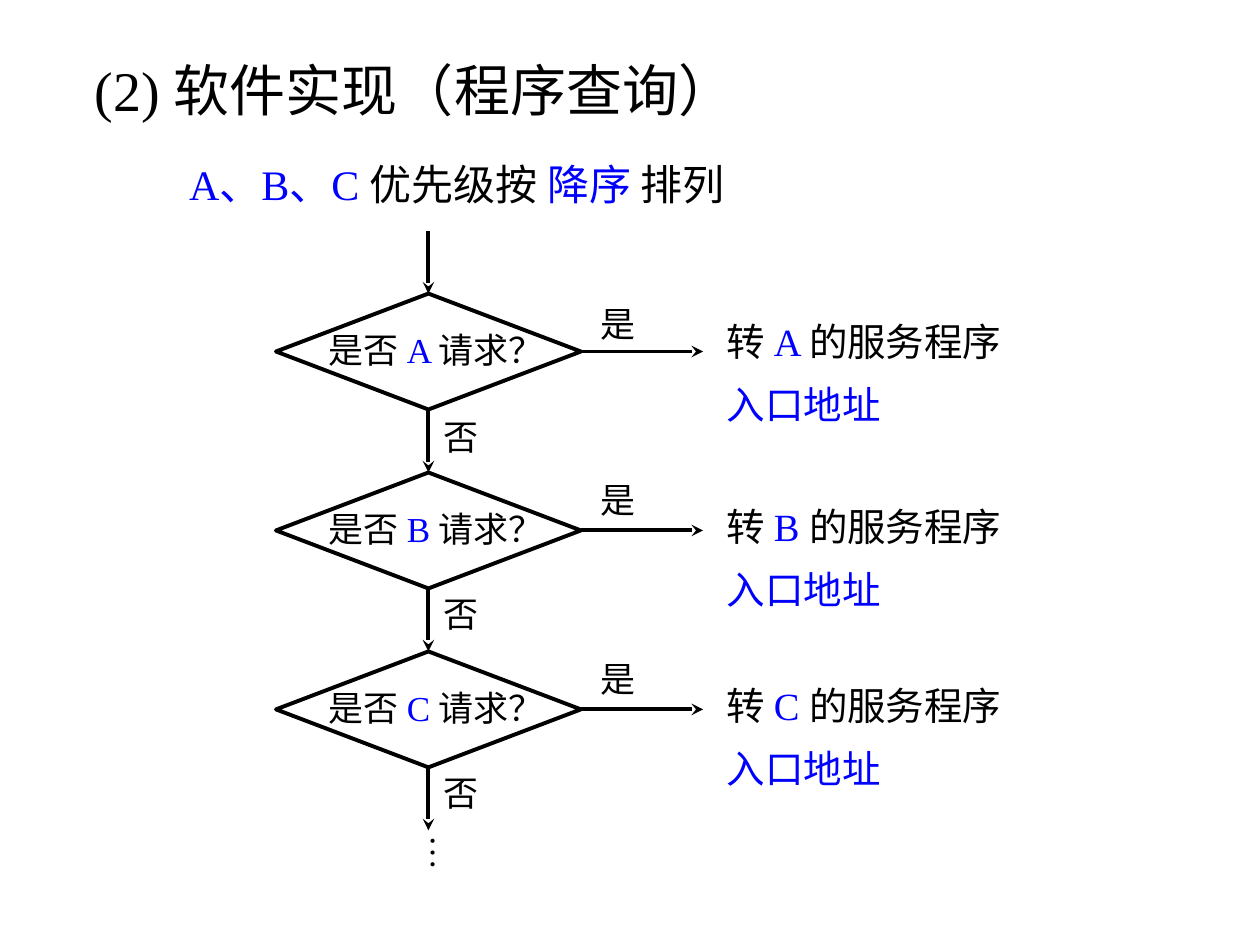
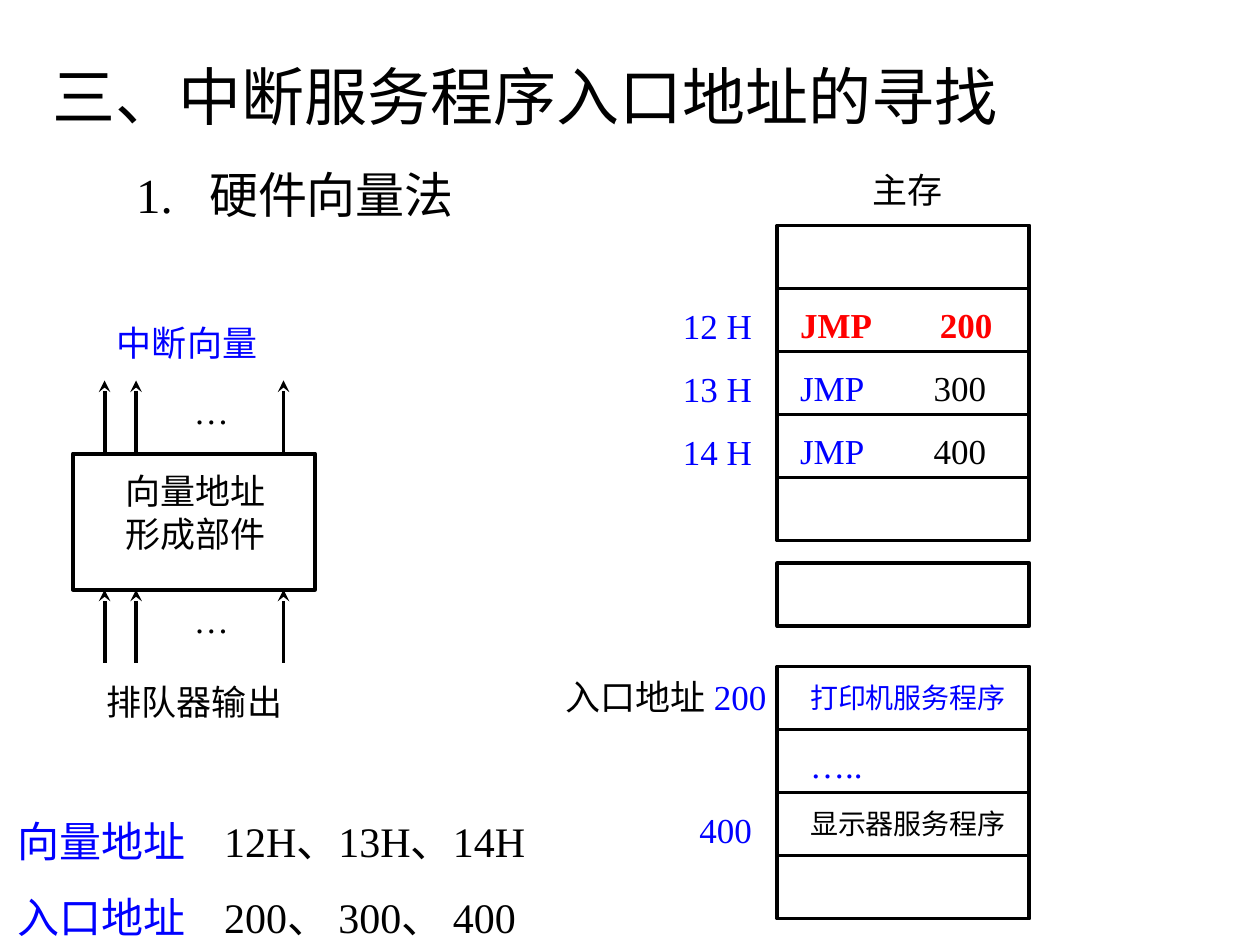
from typing import NamedTuple

from lxml import etree
from pptx import Presentation
from pptx.dml.color import RGBColor
from pptx.enum.shapes import MSO_CONNECTOR, MSO_SHAPE
from pptx.enum.text import MSO_ANCHOR, MSO_AUTO_SIZE, PP_ALIGN
from pptx.oxml.ns import qn
from pptx.util import Inches, Pt

BLACK = RGBColor(0, 0, 0)
BLUE = RGBColor(0, 0, 255)
RED = RGBColor(255, 0, 0)
FONT = "Times New Roman"
LINE = Pt(2.25)
TOP, MIDDLE = MSO_ANCHOR.TOP, MSO_ANCHOR.MIDDLE
LEFT, CENTER = PP_ALIGN.LEFT, PP_ALIGN.CENTER
RECT, DIAMOND = MSO_SHAPE.RECTANGLE, MSO_SHAPE.DIAMOND
STRAIGHT = MSO_CONNECTOR.STRAIGHT
NO_FIT = MSO_AUTO_SIZE.NONE
SIDE_TOP, SIDE_BOTTOM, SIDE_RIGHT = 0, 2, 3


class Run(NamedTuple):
    text: str
    color: RGBColor = BLACK


class Style(NamedTuple):
    size: int = 20
    bold: bool = False
    align: int = LEFT
    anchor: int = TOP
    insets: tuple = (0.1, 0.05)
    before: float = 0
    spacing: float = 1.0
    hang: float = 0


class Test(NamedTuple):
    name: str
    yes_top: float
    no_top: float
    route_top: float


class Cell(NamedTuple):
    top: float
    runs: tuple = ()
    style: Style = Style()


HEAD = Style(anchor=MIDDLE, insets=(0, 0.05))
ROUTE = Style(22, before=13.8, spacing=0.85)
JUMP = Style(insets=(0.18, 0.12), hang=1.06)
SERVICE = Style(16, insets=(0.26, 0.11))

TESTS = (
    Test("A", 2.35, 3.25, 2.53),
    Test("B", 3.75, 4.65, 4),
    Test("C", 5.17, 6.07, 5.42),
)
CELLS = (
    Cell(1.79),
    Cell(2.29, (Run("JMP\t200", RED),), JUMP._replace(bold=True, hang=1.11)),
    Cell(2.79, (Run("JMP", BLUE), Run("\t300")), JUMP),
    Cell(3.29, (Run("JMP", BLUE), Run("\t400")), JUMP),
    Cell(3.79),
    Cell(4.47),
    Cell(5.29, (Run("打印机服务程序", BLUE),), SERVICE),
    Cell(5.79, (Run("…..", BLUE),), SERVICE._replace(size=20)),
    Cell(6.29, (Run("显示器服务程序"),), SERVICE),
    Cell(6.79),
)


def fill_text(shape, paras, style: Style) -> None:
    """Write paragraphs of runs; a tab jumps to the style's hanging indent."""
    frame = shape.text_frame
    frame.word_wrap = True
    frame.auto_size = NO_FIT
    frame.vertical_anchor = style.anchor
    across, down = (Inches(inset) for inset in style.insets)
    frame.margin_left, frame.margin_top = across, down
    frame.margin_right, frame.margin_bottom = 0, Inches(0.05)
    for i, runs in enumerate(paras):
        para = frame.add_paragraph() if i else frame.paragraphs[0]
        para.alignment = style.align
        para.space_before = Pt(style.before)
        para.line_spacing = style.spacing
        para.font.size, para.font.bold = Pt(style.size), style.bold
        para.font.name = FONT
        props = para._p.get_or_add_pPr()
        props.set("marL", str(Inches(style.hang)))
        props.set("indent", str(Inches(-style.hang)))
        props.find(qn("a:defRPr")).addprevious(etree.Element(qn("a:buNone")))
        for item in runs:
            run = para.add_run()
            run.text = item.text
            run.font.color.rgb = item.color
            run.font.size, run.font.bold = Pt(style.size), style.bold
            run.font.name = FONT


def add_label(slide, box, paras, style: Style = Style()):
    label = slide.shapes.add_textbox(*map(Inches, box))
    fill_text(label, paras, style)
    return label


def add_outline(slide, kind, box):
    shape = slide.shapes.add_shape(kind, *map(Inches, box))
    shape.shadow.inherit = False
    shape.fill.background()
    shape.line.color.rgb = BLACK
    shape.line.width = LINE
    return shape


def add_arrow(slide, start, end):
    arrow = slide.shapes.add_connector(STRAIGHT, *map(Inches, (*start, *end)))
    arrow.line.color.rgb = BLACK
    arrow.line.width = LINE
    etree.SubElement(arrow.line._get_or_add_ln(), qn("a:tailEnd"), type="stealth")
    etree.SubElement(arrow._element.spPr, qn("a:effectLst"))
    return arrow


def add_slide(deck, title_box, title, title_size, body_box, body, body_style):
    """Add a slide whose placeholders hold its title and lead line."""
    slide = deck.slides.add_slide(deck.slide_layouts[1])
    heads = (
        (slide.shapes.title, title_box, (Run(title),), HEAD._replace(size=title_size)),
        (slide.placeholders[1], body_box, body, body_style),
    )
    for holder, box, runs, style in heads:
        holder.left, holder.top, holder.width, holder.height = map(Inches, box)
        fill_text(holder, [runs], style)
    return slide


def draw_polling(deck) -> None:
    lead = (Run("A、B、C ", BLUE), Run("优先级按 "), Run("降序 ", BLUE), Run("排列"))
    slide = add_slide(
        deck, (0.75, 0.42, 7, 0.58), "(2) 软件实现（程序查询）", 32,
        (1.5, 1.17, 6.5, 0.58), lead, HEAD._replace(size=24))
    left, first, width, height, pitch, mid = 2.19, 2.33, 2.42, 0.92, 1.42, 3.4
    arrow = add_arrow(slide, (mid, first - 0.5), (mid, first))
    for i, test in enumerate(TESTS):
        top = first + i * pitch
        center = top + height / 2
        diamond = add_outline(slide, DIAMOND, (left, top, width, height))
        arrow.end_connect(diamond, SIDE_TOP)
        name = Run(test.name + " ", BLUE)
        add_label(slide, (2.61, top + 0.28, 2.2, 0.39),
                  [(Run("是否 "), name, Run("请求？"))], Style(insets=(0, 0)))
        branch = add_arrow(slide, (left + width, center), (5.58, center))
        branch.begin_connect(diamond, SIDE_RIGHT)
        arrow = add_arrow(slide, (mid, top + height), (mid, top + pitch))
        arrow.begin_connect(diamond, SIDE_BOTTOM)
        add_label(slide, (4.67, test.yes_top, 0.67, 0.44), [(Run("是"),)])
        add_label(slide, (3.42, test.no_top, 0.67, 0.44), [(Run("否"),)])
        add_label(slide, (5.67, test.route_top, 3.83, 0.92),
                  [(Run("转 "), name, Run("的服务程序")), (Run("入口地址", BLUE),)], ROUTE)
    dots = add_label(slide, (3.22, 6.53, 0.53, 0.38), [(Run("…"),)],
                     Style(insets=(0.05, 0.1)))
    dots.text_frame.word_wrap = False
    dots.text_frame.margin_right = Inches(0.05)
    dots.text_frame._txBody.bodyPr.set("vert", "eaVert")


def draw_memory(slide) -> None:
    add_label(slide, (6.83, 1.29, 1, 0.44), [(Run("主存"),)])
    for cell in CELLS:
        shape = add_outline(slide, RECT, (6.17, cell.top, 2, 0.5))
        if cell.runs:
            fill_text(shape, [cell.runs], cell.style)
    for i, name in enumerate(("12 H", "13 H", "14 H")):
        add_label(slide, (5.42, 2.29 + i * 0.5, 0.67, 0.58), [(Run(name, BLUE),)], HEAD)
    add_label(slide, (4.49, 5.24, 1.75, 0.58),
              [(Run("入口地址 "), Run("200", BLUE))], HEAD)
    add_label(slide, (5.55, 6.29, 0.6, 0.58), [(Run("400", BLUE),)], HEAD)


def draw_encoder(slide) -> None:
    top, height, reach = 3.6, 1.08, 0.58
    box = add_outline(slide, RECT, (0.58, top, 1.92, height))
    fill_text(box, [(Run("向量地址"),), (Run("形成部件"),)],
              Style(align=CENTER, insets=(0.02, 0.13)))
    for end in (top - reach, top + height):
        for x in (0.83, 1.08, 2.25):
            add_arrow(slide, (x, end + reach), (x, end))
        add_label(slide, (1.44, end + 0.02, 0.6, 0.44), [(Run("…"),)])
    add_label(slide, (0.83, 2.5, 1.83, 0.44), [(Run("中断向量", BLUE),)])
    add_label(slide, (0.75, 5.35, 2.33, 0.44), [(Run("排队器输出"),)])


def draw_vectors(deck) -> None:
    slide = add_slide(
        deck, (0.42, 0.42, 9.5, 0.67), "三、中断服务程序入口地址的寻找", 36,
        (1.08, 1.25, 4.25, 0.58), (Run("1.\t硬件向量法"),),
        HEAD._replace(size=28, hang=0.58))
    draw_memory(slide)
    draw_encoder(slide)
    add_label(slide, (0.04, 6.42, 5.4, 1.11),
              [(Run("向量地址", BLUE), Run("\t12H、13H、14H")),
               (Run("入口地址", BLUE), Run("\t200、 300、 400"))],
              Style(24, before=15, hang=1.64))


def main() -> None:
    deck = Presentation()
    deck.slide_width, deck.slide_height = Inches(10), Inches(7.5)
    draw_polling(deck)
    draw_vectors(deck)
    deck.save("out.pptx")


if __name__ == "__main__":
    main()
